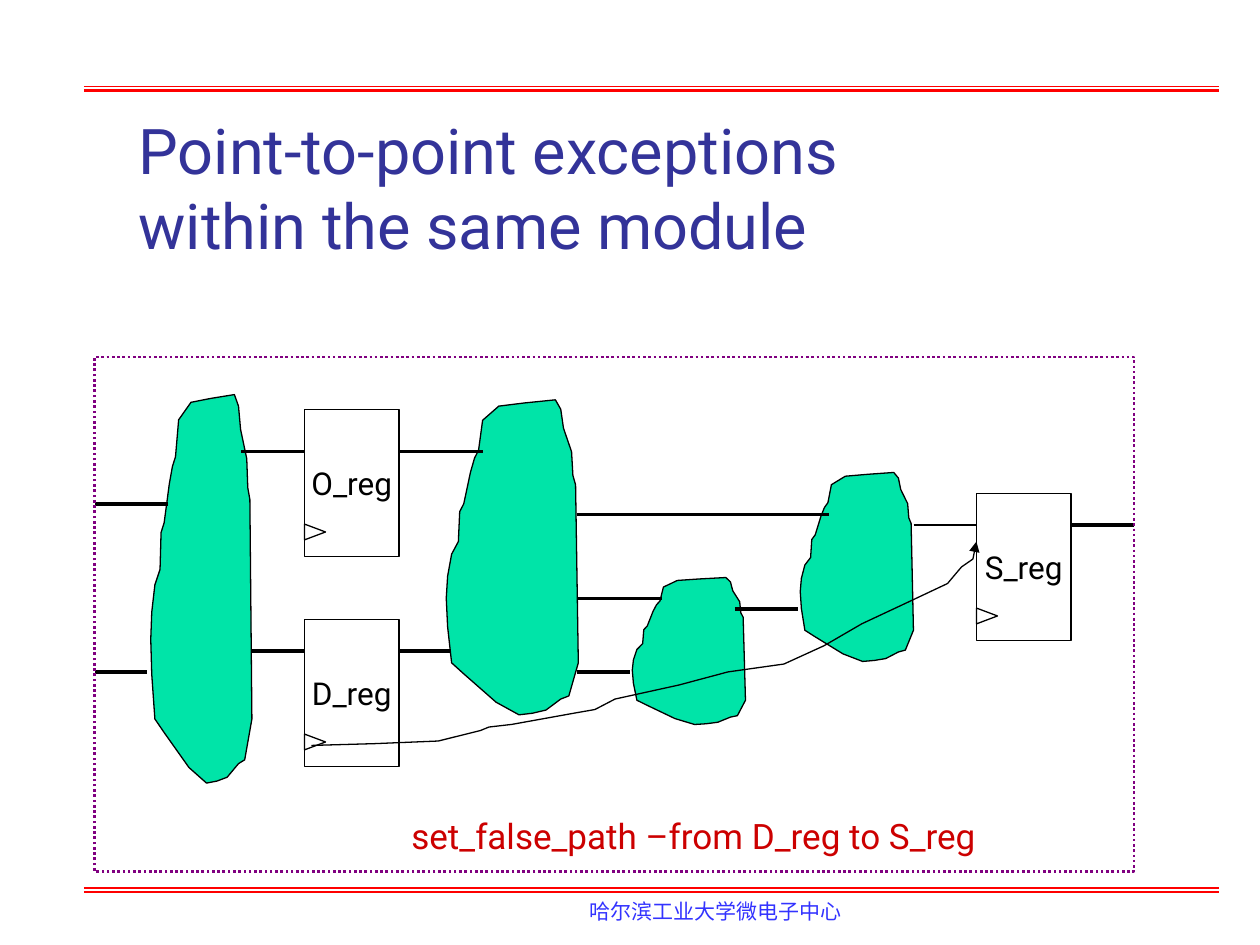
from typing import NamedTuple

from lxml.etree import SubElement
from pptx import Presentation
from pptx.dml.color import RGBColor
from pptx.enum.dml import MSO_LINE
from pptx.enum.shapes import MSO_CONNECTOR, MSO_SHAPE
from pptx.enum.text import MSO_ANCHOR, MSO_AUTO_SIZE, PP_ALIGN
from pptx.oxml.ns import qn
from pptx.util import Pt

RED = RGBColor(0xFF, 0x00, 0x00)
CRIMSON = RGBColor(0xCC, 0x00, 0x00)
NAVY = RGBColor(0x33, 0x33, 0x99)
BLUE = RGBColor(0x33, 0x33, 0xFF)
PURPLE = RGBColor(0x80, 0x00, 0x80)
GREEN = RGBColor(0x00, 0xE4, 0xA8)
BLACK = RGBColor(0x00, 0x00, 0x00)
FONT = "Roboto"
THIN, THICK = 0.75, 2.25


class Cloud(NamedTuple):
    x: float
    y: float
    w: float
    h: float


class Reg(NamedTuple):
    name: str
    x: float
    y: float


class Wire(NamedTuple):
    x: float
    end: float
    y: float
    width: float = THICK


# Outline of a logic cloud, in percent of its box
OUTLINE = [
    (41, 2), (33, 5), (29, 6.5), (26, 16), (23, 18.5), (20, 23), (15, 33),
    (12, 35.5), (11, 45), (6, 49), (3, 56), (2, 63), (3, 72), (6, 83.5),
    (15, 87), (39, 96), (56, 100), (66, 99.5), (76, 98.5), (87, 95),
    (93, 94), (100, 83.5), (98, 27), (96, 24), (95, 16.5), (89, 9),
    (87, 3), (83, 0), (60, 1),
]
CLOUDS = [
    Cloud(85, 225.5, 59, 222),
    Cloud(253.5, 228.5, 77, 180),
    Cloud(360, 330, 66, 84),
    Cloud(456, 270, 66, 108),
]
REGS = [Reg("O_reg", 174, 234), Reg("D_reg", 174, 354), Reg("S_reg", 558, 282)]
WIRES = [
    Wire(138, 174, 258), Wire(144, 174, 372),
    Wire(228, 276, 258), Wire(228, 258, 372),
    Wire(330, 378, 342), Wire(330, 360, 384),
    Wire(420, 456, 348), Wire(330, 474, 294),
    Wire(522, 558, 300, THIN), Wire(96, 54, 288),
    Wire(84, 54, 384), Wire(612, 648, 300),
]
# False path from D_reg to S_reg
ROUTE = [
    (178, 426), (214, 425), (250.5, 423.5), (274.5, 417.5), (279.5, 415.5),
    (292.5, 414), (328.5, 407.5), (340, 405.5), (351.5, 399.5), (388, 391.5),
    (416, 384), (448, 379.5), (471, 369), (492.5, 356.5), (516, 345.5),
    (541.5, 333.5), (546.5, 327.5), (549.5, 324), (556, 319.5), (558, 309.5),
]

deck = Presentation()
deck.slide_width, deck.slide_height = Pt(720), Pt(540)
slide = deck.slides.add_slide(deck.slide_layouts[5])
shapes = slide.shapes


def style(shape, color: RGBColor, width: float, fill=None) -> None:
    shape.shadow.inherit = False
    shape.line.color.rgb = color
    shape.line.width = Pt(width)
    if fill is None:
        shape.fill.background()
    else:
        shape.fill.solid()
        shape.fill.fore_color.rgb = fill


def draw_line(wire: Wire, color: RGBColor = BLACK) -> None:
    line = shapes.add_connector(
        MSO_CONNECTOR.STRAIGHT, Pt(wire.x), Pt(wire.y), Pt(wire.end), Pt(wire.y))
    line.line.color.rgb = color
    line.line.width = Pt(wire.width)
    SubElement(line._element.spPr, qn("a:effectLst"))


def draw_free(points: list, closed: bool):
    # Scale gives hundredths of a point
    (x, y), *rest = [(px * 100, py * 100) for px, py in points]
    pen = shapes.build_freeform(x, y, scale=Pt(1) / 100)
    pen.add_line_segments(rest, close=closed)
    return pen.convert_to_shape()


def draw_cloud(cloud: Cloud) -> None:
    points = [(cloud.x + cloud.w * px / 100, cloud.y + cloud.h * py / 100)
              for px, py in OUTLINE]
    style(draw_free(points, True), BLACK, THIN, GREEN)


def write(shape, text: str, size: float, color: RGBColor, font: str = FONT,
          align=PP_ALIGN.LEFT, anchor=MSO_ANCHOR.TOP, wrap: bool = True) -> None:
    frame = shape.text_frame
    frame.auto_size = MSO_AUTO_SIZE.NONE
    frame.word_wrap = wrap
    frame.vertical_anchor = anchor
    para = frame.paragraphs[0]
    para.alignment = align
    run = para.add_run()
    run.text = text
    run.font.size = Pt(size)
    run.font.name = font
    run.font.color.rgb = color
    SubElement(run.font._element, qn("a:ea"), typeface=font)


def draw_reg(reg: Reg) -> None:
    box = shapes.add_shape(MSO_SHAPE.RECTANGLE, Pt(reg.x), Pt(reg.y), Pt(54), Pt(84))
    style(box, BLACK, THIN)
    write(box, reg.name, 18, BLACK, align=PP_ALIGN.CENTER,
          anchor=MSO_ANCHOR.MIDDLE, wrap=False)
    # Clock input
    clock = shapes.add_shape(MSO_SHAPE.ISOSCELES_TRIANGLE,
                             Pt(reg.x + 1.5), Pt(reg.y + 64), Pt(9), Pt(12))
    clock.rotation = 90
    style(clock, BLACK, THIN)


def add_text(x: float, y: float, w: float, h: float, *args) -> None:
    write(shapes.add_textbox(Pt(x), Pt(y), Pt(w), Pt(h)), *args)


# Double rules and footer
for top in (49.5, 507.5):
    draw_line(Wire(48, 696.5, top, 0.75), RED)
    draw_line(Wire(48, 696.5, top + 2.25, 1.5), RED)
add_text(330, 510, 162, 21.5, "哈尔滨工业大学微电子中心", 12, BLUE, "DejaVu Sans")

# Title
title = shapes.title
title.left, title.top, title.width, title.height = Pt(72), Pt(60), Pt(486), Pt(94)
write(title, "Point-to-point exceptions within the same module", 36, NAVY)

# Circuit
for cloud in CLOUDS:
    draw_cloud(cloud)
for reg in REGS:
    draw_reg(reg)
for wire in WIRES:
    draw_line(wire)

# False path arrow
route = draw_free(ROUTE, False)
style(route, BLACK, THIN)
SubElement(route.line._get_or_add_ln(), qn("a:tailEnd"), type="triangle")

# Module border and command
frame = shapes.add_shape(MSO_SHAPE.RECTANGLE, Pt(54), Pt(204), Pt(594), Pt(294))
style(frame, PURPLE, 1.5)
frame.line.dash_style = MSO_LINE.ROUND_DOT
add_text(228, 462, 390, 31.5, "set_false_path –from D_reg to S_reg", 20, CRIMSON)

deck.save("out.pptx")
